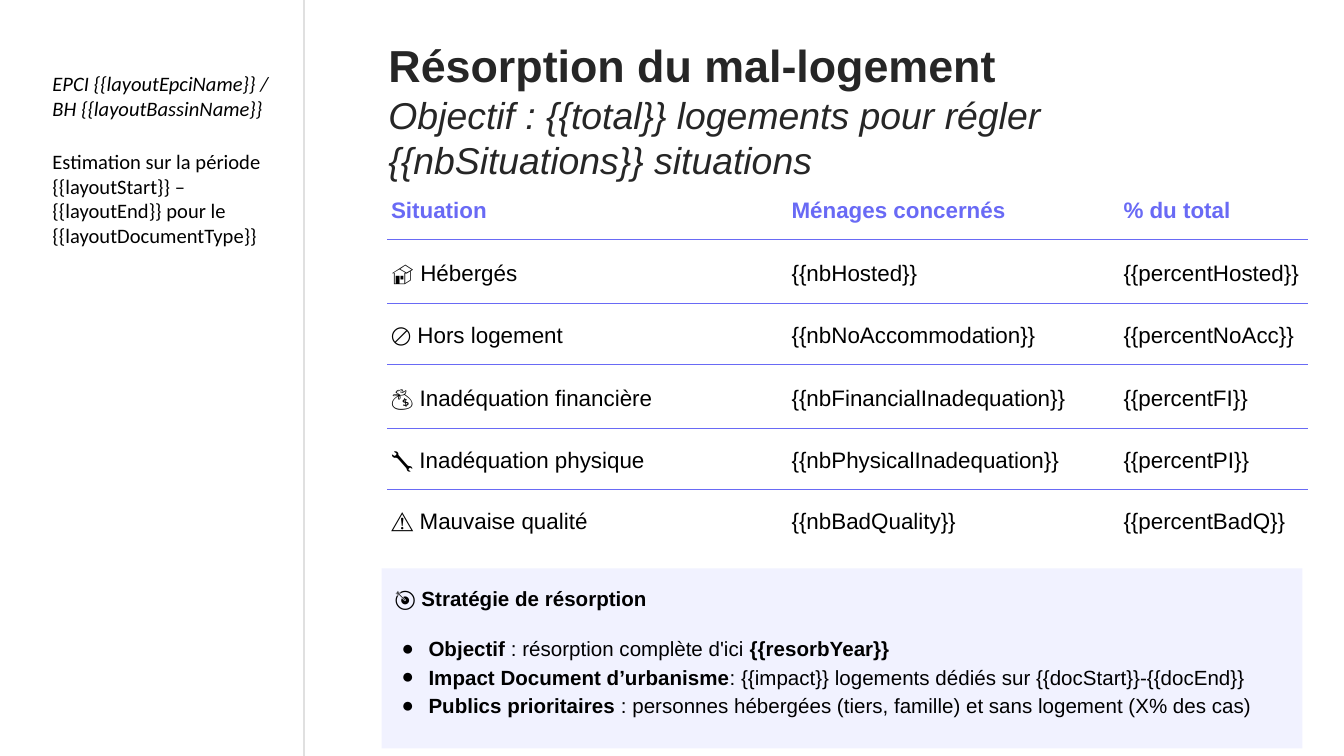
import pptx
import pptx.dml.color
import pptx.enum.shapes
import pptx.enum.text
import pptx.oxml
import pptx.oxml.ns
import pptx.util
from lxml import etree

Inches = pptx.util.Inches
Pt = pptx.util.Pt
qn = pptx.oxml.ns.qn

COLORS = {
    "ink": "262626",
    "text": "000000",
    "accent": "696AF5",
    "panel": "F1F2FF",
    "divider": "E0E0E0",
}
PLAIN_TABLE_STYLE = "{2D5ABB26-0587-4C30-8999-92F81FD0307C}"
SLIDE_WIDTH = Inches(10)
SLIDE_HEIGHT = SLIDE_WIDTH * 9 // 16
CONTENT_LEFT, CONTENT_WIDTH = 2.84, 6.85
SIDEBAR_LEFT, SIDEBAR_WIDTH = 0.39, 1.68

COLUMN_WIDTHS = [2.98, 2.47, 1.40]
ROW_HEIGHTS = [0.45, 0.48, 0.45, 0.48, 0.45, 0.45]
ROWS = [
    ["Situation", "Ménages concernés", "% du total"],
    ["🏠 Hébergés", "{{nbHosted}}", "{{percentHosted}}"],
    ["🚫 Hors logement", "{{nbNoAccommodation}}", "{{percentNoAcc}}"],
    ["💰 Inadéquation financière", "{{nbFinancialInadequation}}", "{{percentFI}}"],
    ["🔧 Inadéquation physique", "{{nbPhysicalInadequation}}", "{{percentPI}}"],
    ["⚠️ Mauvaise qualité", "{{nbBadQuality}}", "{{percentBadQ}}"],
]
# Each bullet is a list of (text, bold) runs
STRATEGY = [
    [("Objectif", True), (" : résorption complète d'ici", False),
     (" {{resorbYear}}", True)],
    [("Impact Document d’urbanisme", True),
     (": {{impact}} logements dédiés sur {{docStart}}-{{docEnd}}", False)],
    [("Publics prioritaires ", True),
     (": personnes hébergées (tiers, famille) et sans logement (X% des cas)", False)],
]


def rgb(name):
    return pptx.dml.color.RGBColor.from_string(COLORS[name])


def set_attributes(target, values):
    for name, value in values.items():
        setattr(target, name, value)


def add_run(paragraph, text, size, color="text", name="Arial", **styles):
    run = paragraph.add_run()
    run.text = text
    set_attributes(run.font, {"size": Pt(size), "name": name, **styles})
    run.font.color.rgb = rgb(color)


def margins(horizontal, vertical):
    return {
        "margin_left": Inches(horizontal), "margin_right": Inches(horizontal),
        "margin_top": Inches(vertical), "margin_bottom": Inches(vertical),
    }


def add_text(slide, box, text, margin, **font):
    shape = slide.shapes.add_textbox(*map(Inches, box))
    set_attributes(shape.text_frame, {"word_wrap": True, **margins(margin, margin)})
    add_run(shape.text_frame.paragraphs[0], text, **font)
    return shape


def add_divider(slide, left):
    line = slide.shapes.add_connector(
        pptx.enum.shapes.MSO_CONNECTOR.STRAIGHT,
        Inches(left), 0, Inches(left), SLIDE_HEIGHT)
    line.line.width = Pt(1)
    line.line.color.rgb = rgb("divider")
    etree.SubElement(line._element.spPr, qn("a:effectLst"))


def add_border(cell, side, position):
    border = pptx.oxml.parse_xml(
        f'<a:{side} xmlns:a="http://schemas.openxmlformats.org/drawingml/2006/main" '
        f'w="{Pt(0.75)}"><a:solidFill><a:srgbClr val="{COLORS["accent"]}"/>'
        f'</a:solidFill></a:{side}>')
    cell._tc.get_or_add_tcPr().insert(position, border)


def format_cell(cell, text, is_header, sides):
    cell.fill.background()
    set_attributes(cell, {
        "vertical_anchor": pptx.enum.text.MSO_ANCHOR.MIDDLE, **margins(0.03, 0.02)})
    paragraph = cell.text_frame.paragraphs[0]
    paragraph.line_spacing = 1.15
    add_run(paragraph, text, 12, "accent" if is_header else "text", bold=is_header)
    for position, side in enumerate(sides):
        add_border(cell, side, position)


def add_situation_table(slide):
    frame = slide.shapes.add_table(
        len(ROWS), len(COLUMN_WIDTHS), Inches(2.88), Inches(1.33),
        Inches(CONTENT_WIDTH), Inches(sum(ROW_HEIGHTS)))
    table = frame.table
    set_attributes(table, {"first_row": False, "horz_banding": False})
    table._tbl.tblPr.find(qn("a:tableStyleId")).text = PLAIN_TABLE_STYLE
    for column, width in zip(table.columns, COLUMN_WIDTHS):
        column.width = Inches(width)
    last = len(ROWS) - 1
    for index, (row, height) in enumerate(zip(table.rows, ROW_HEIGHTS)):
        row.height = Inches(height)
        # Rules separate the rows; the outer edges stay open
        sides = [side for side, inner in (("lnT", index > 0), ("lnB", index < last))
                 if inner]
        for cell, text in zip(row.cells, ROWS[index]):
            format_cell(cell, text, index == 0, sides)


def add_bullet(paragraph):
    properties = paragraph._p.get_or_add_pPr()
    properties.set("marL", str(Inches(0.25)))
    properties.set("indent", str(Inches(-0.2)))
    bullet_color = etree.SubElement(properties, qn("a:buClr"))
    etree.SubElement(bullet_color, qn("a:srgbClr"), val=COLORS["text"])
    etree.SubElement(properties, qn("a:buFont"), typeface="Arial")
    etree.SubElement(properties, qn("a:buChar"), char="●")


def add_strategy_panel(slide):
    panel = slide.shapes.add_shape(
        pptx.enum.shapes.MSO_SHAPE.RECTANGLE,
        *map(Inches, (CONTENT_LEFT, 4.23, CONTENT_WIDTH, 1.34)))
    panel.shadow.inherit = False
    panel.fill.solid()
    panel.fill.fore_color.rgb = rgb("panel")
    panel.line.fill.background()
    frame = panel.text_frame
    set_attributes(frame, {
        "word_wrap": True, "vertical_anchor": pptx.enum.text.MSO_ANCHOR.TOP,
        **margins(0.1, 0.1)})
    paragraphs = [[("🎯 Stratégie de résorption", True)]] + STRATEGY
    for index, runs in enumerate(paragraphs):
        paragraph = frame.add_paragraph() if index else frame.paragraphs[0]
        set_attributes(paragraph, {
            "alignment": pptx.enum.text.PP_ALIGN.LEFT, "line_spacing": 1.15,
            "space_before": Pt(12 if index < 2 else 0)})
        if index:
            add_bullet(paragraph)
        for text, bold in runs:
            add_run(paragraph, text, 11, bold=bold)


def main():
    presentation = pptx.Presentation()
    set_attributes(presentation, {
        "slide_width": SLIDE_WIDTH, "slide_height": SLIDE_HEIGHT})
    slide = presentation.slides.add_slide(presentation.slide_layouts[6])

    # Sidebar divider
    add_divider(slide, 2.26)

    # Headings
    for top, height, text, font in [
        (0.23, 0.5, "Résorption du mal-logement", {"size": 24, "bold": True}),
        (0.64, 0.77, "Objectif : {{total}} logements pour régler {{nbSituations}} situations",
         {"size": 20, "italic": True}),
    ]:
        heading = add_text(slide, (CONTENT_LEFT, top, CONTENT_WIDTH, height), text,
                           0.05, color="ink", **font)
        heading.text_frame.auto_size = pptx.enum.text.MSO_AUTO_SIZE.SHAPE_TO_FIT_TEXT

    # Main content
    add_situation_table(slide)
    add_strategy_panel(slide)

    # Sidebar notes
    for top, height, text, italic in [
        (0.53, 0.38, "EPCI {{layoutEpciName}} / BH {{layoutBassinName}}", True),
        (1.11, 0.8, "Estimation sur la période {{layoutStart}} – {{layoutEnd}} "
                    "pour le {{layoutDocumentType}}", False),
    ]:
        add_text(slide, (SIDEBAR_LEFT, top, SIDEBAR_WIDTH, height), text, 0,
                 size=11, name="Calibri", italic=italic)

    presentation.save("out.pptx")


if __name__ == "__main__":
    main()
